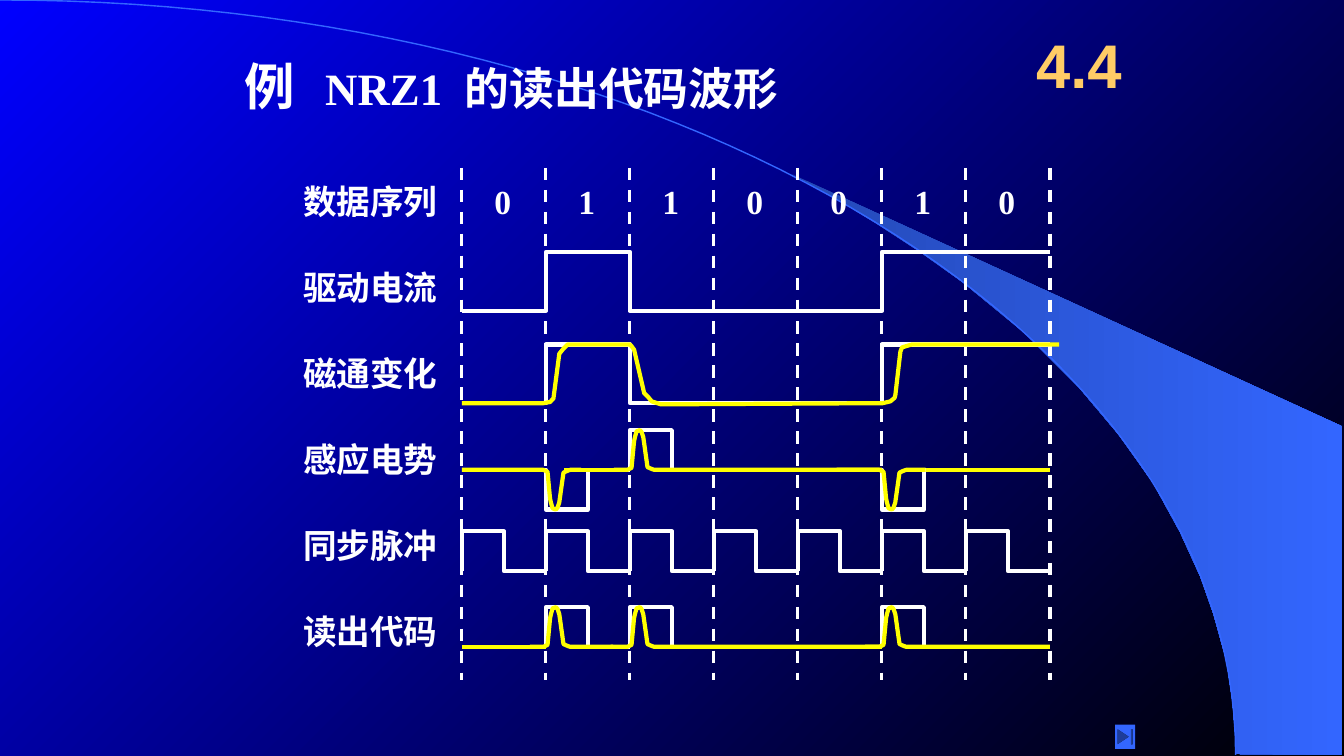
import pptx
import pptx.util
import pptx.dml.color
import pptx.enum.dml
import pptx.enum.shapes
import pptx.enum.text
import pptx.oxml.ns
import lxml.etree

Cm = pptx.util.Cm
Pt = pptx.util.Pt
ALIGN = pptx.enum.text.PP_ALIGN
ANCHOR = pptx.enum.text.MSO_ANCHOR
COLORS = {"white": "FFFFFF", "yellow": "FFFF00", "gold": "FFCC66", "sky": "3366FF",
          "deep": "2449B6", "blue": "0000FF", "black": "000000"}
BITS = "0110010"
ROW_PITCH = 2.17
BUMP = [(0.02, 0.05), (0.05, 0.72), (0.06, 0.82), (0.08, 0.97), (0.12, 1), (0.14, 0.95),
        (0.16, 0.82), (0.21, 0.07), (0.25, 0.03), (0.29, 0)]
CURRENT = [(0, 0), (1, 0), (1, 1), (2, 1), (2, 0), (5, 0), (5, 1), (7, 1)]
FLUX = [(0, 0), (0.97, 0), (1.05, 0.02), (1.09, 0.08), (1.16, 0.84), (1.21, 0.93), (1.26, 1),
        (2, 1), (2.02, 0.97), (2.05, 0.91), (2.17, 0.17), (2.22, 0.1), (2.26, 0.03),
        (2.37, -0.02), (5.01, 0), (5.1, 0.03), (5.15, 0.09), (5.16, 0.14), (5.22, 0.88),
        (5.24, 0.95), (5.31, 0.98), (5.36, 1), (7.11, 1)]
SWOOSH = [(31.17, 19), (33.81, 19.02), (33.81, 10.74), (19.96, 4.39), (21.13, 5.05),
          (22.1, 5.64), (23.19, 6.35), (24.26, 7.11), (25.81, 8.38), (27.18, 9.75),
          (28.19, 10.95), (29.06, 12.17), (29.74, 13.41), (30.25, 14.53), (30.58, 15.47),
          (30.91, 16.66), (31.06, 17.68), (31.17, 19)]


def color(name):
    """Return the named colour."""
    return pptx.dml.color.RGBColor.from_string(COLORS[name])


def shade(fill, first, last, angle):
    """Fill with a two-stop linear gradient."""
    fill.gradient()
    fill.gradient_angle = angle
    for stop, name, position in zip(fill.gradient_stops, (first, last), (0, 1)):
        stop.color.rgb = color(name)
        stop.position = position


def write(para, text, size, ink="white", font="Times New Roman", spacing=0):
    """Add one bold span, with optional letter spacing in points."""
    span = para.add_run()
    span.text = text
    span.font.size = Pt(size)
    span.font.bold = True
    span.font.name = font
    span.font.color.rgb = color(ink)
    if spacing:
        span.font._element.set("spc", str(spacing * 100))


def label(page, box, text, size=24, wrap=False, align=ALIGN.CENTER, anchor=ANCHOR.TOP, **style):
    """Place a one-line text box."""
    frame = page.shapes.add_textbox(*map(Cm, box)).text_frame
    frame.word_wrap = wrap
    frame.vertical_anchor = anchor
    frame.paragraphs[0].alignment = align
    write(frame.paragraphs[0], text, size, **style)


def trace(page, points, ink, width=3, dashed=False):
    """Draw an open line through points given in centimetres."""
    spots = [(Cm(x), Cm(y)) for x, y in points]
    if len(spots) == 2:
        shape = page.shapes.add_connector(
            pptx.enum.shapes.MSO_CONNECTOR.STRAIGHT, *spots[0], *spots[1])
    else:
        builder = page.shapes.build_freeform(*spots[0])
        builder.add_line_segments(spots[1:], close=False)
        shape = builder.convert_to_shape()
        shape.fill.background()
        shape.shadow.inherit = False
    shape.line.color.rgb = color(ink)
    shape.line.width = Pt(width)
    if dashed:
        shape.line.dash_style = pptx.enum.dml.MSO_LINE.DASH
    if len(spots) == 2:
        lxml.etree.SubElement(shape._element.spPr, pptx.oxml.ns.qn("a:effectLst"))


def level(start, end):
    """Return a flat zero line."""
    return [(start, 0), (end, 0)]


def gate(start, pulse, end, sign=1):
    """Return a square half-cell pulse on a zero line."""
    return [(start, 0), (pulse, 0), (pulse, sign), (pulse + 0.5, sign),
            (pulse + 0.5, 0), (end, 0)]


def bump(start, pulse, end, sign=1):
    """Return a rounded pulse on a zero line."""
    rounded = [(pulse + x, sign * y) for x, y in BUMP]
    return [(start, 0), (pulse - 0.03, 0)] + rounded + [(end, 0)]


def backdrop(page, box):
    """Draw the gradient background, the swoosh and the thin arc."""
    left, top, width, height = box
    shade(page.background.fill, "blue", "black", 315)
    spots = [(Cm(left + x), Cm(top + y)) for x, y in SWOOSH]
    builder = page.shapes.build_freeform(*spots[0])
    builder.add_line_segments(spots[1:])
    swoosh = builder.convert_to_shape()
    shade(swoosh.fill, "deep", "sky", 0)
    swoosh.line.fill.background()
    swoosh.shadow.inherit = False
    reach, drop, steps = 31.14, 19.02, 60
    arc = []
    for step in range(steps + 1):
        t = step / steps
        x = 3 * (1 - t) ** 2 * t * 0.552 + 3 * (1 - t) * t ** 2 + t ** 3
        y = 3 * (1 - t) * t ** 2 * 0.448 + t ** 3
        arc.append((left + reach * x, top + drop * y))
    trace(page, arc, "sky", 1)


def heading(page, box):
    """Format the title placeholder and bring it in front of the backdrop."""
    title = page.shapes.title
    title.left, title.top, title.width, title.height = map(Cm, box)
    title._element.getparent().append(title._element)
    frame = title.text_frame
    frame.auto_size = pptx.enum.text.MSO_AUTO_SIZE.NONE
    frame.word_wrap = True
    frame.vertical_anchor = ANCHOR.TOP
    para = frame.paragraphs[0]
    para.alignment = ALIGN.LEFT
    write(para, "例", 36)
    write(para, " ", 32, spacing=14)
    write(para, "NRZ1", 32)
    write(para, " ", 32, spacing=8)
    write(para, "的读出代码波形", 32)


def timing_diagram(page, box):
    """Draw the bit grid, the row labels and every waveform."""
    left, top, width, height = box
    cell = width / len(BITS)
    for column in range(len(BITS) + 1):
        x = left + column * cell
        trace(page, [(x, top), (x, top + height)], "white", 2.25, dashed=True)
    for column, bit in enumerate(BITS):
        label(page, (left + (column + 0.5) * cell - 0.5, top + 0.2, 0.94, 1.27), bit)
    rows = [
        ("数据序列", 0, 0, [], []),
        ("驱动电流", 3.6, 1.48, [CURRENT], []),
        ("磁通变化", 5.93, 1.48, [CURRENT], [FLUX]),
        ("感应电势", 7.61, 1,
         [level(1.5, 2), level(5.5, 7), gate(2, 2, 4.5), gate(0, 1, 1.5, -1),
          gate(4.5, 5, 5.5, -1)],
         [bump(1.81, 2, 5), level(1.22, 1.81), bump(4.46, 5, 5.52, -1), level(5.52, 7),
          bump(0, 1, 1.42, -1)]),
        ("同步脉冲", 10.16, 1, [gate(c, c, c + 1) for c in range(len(BITS))], []),
        ("读出代码", 12.07, 1,
         [level(0, 1), gate(1, 1, 2), gate(2, 2, 5), gate(5, 5, 7)],
         [level(0, 1), bump(1.77, 2, 5), bump(0.81, 1, 1.8), bump(4.8, 5, 7)]),
    ]
    for index, (name, base, rise, square, rounded) in enumerate(rows):
        label(page, (left - 4.27, top + 0.2 + index * ROW_PITCH, 3.92, 1.27), name)
        for ink, waves in (("white", square), ("yellow", rounded)):
            for wave in waves:
                trace(page, [(left + x * cell, top + base - y * rise) for x, y in wave], ink)


def end_button(page, box):
    """Place the jump-to-end button."""
    button = page.shapes.add_shape(
        pptx.enum.shapes.MSO_SHAPE.ACTION_BUTTON_END, *map(Cm, box))
    button.fill.solid()
    button.fill.fore_color.rgb = color("sky")
    button.line.fill.background()
    button.shadow.inherit = False


def main():
    """Build and save the deck."""
    deck = pptx.Presentation()
    deck.slide_width, deck.slide_height = Cm(33.87), Cm(19.05)
    page = deck.slides.add_slide(deck.slide_layouts.get_by_name("Title Only"))
    backdrop(page, (0, 0, 33.87, 19.05))
    heading(page, (5.92, 1.27, 15.88, 1.78))
    timing_diagram(page, (11.64, 4.23, 14.82, 12.91))
    label(page, (25.6, 0.43, 3.18, 2.34), "4.4", 44, wrap=True, anchor=ANCHOR.MIDDLE,
          ink="gold", font="Arial")
    end_button(page, (28.1, 18.26, 0.51, 0.61))
    deck.save("out.pptx")


if __name__ == "__main__":
    main()
